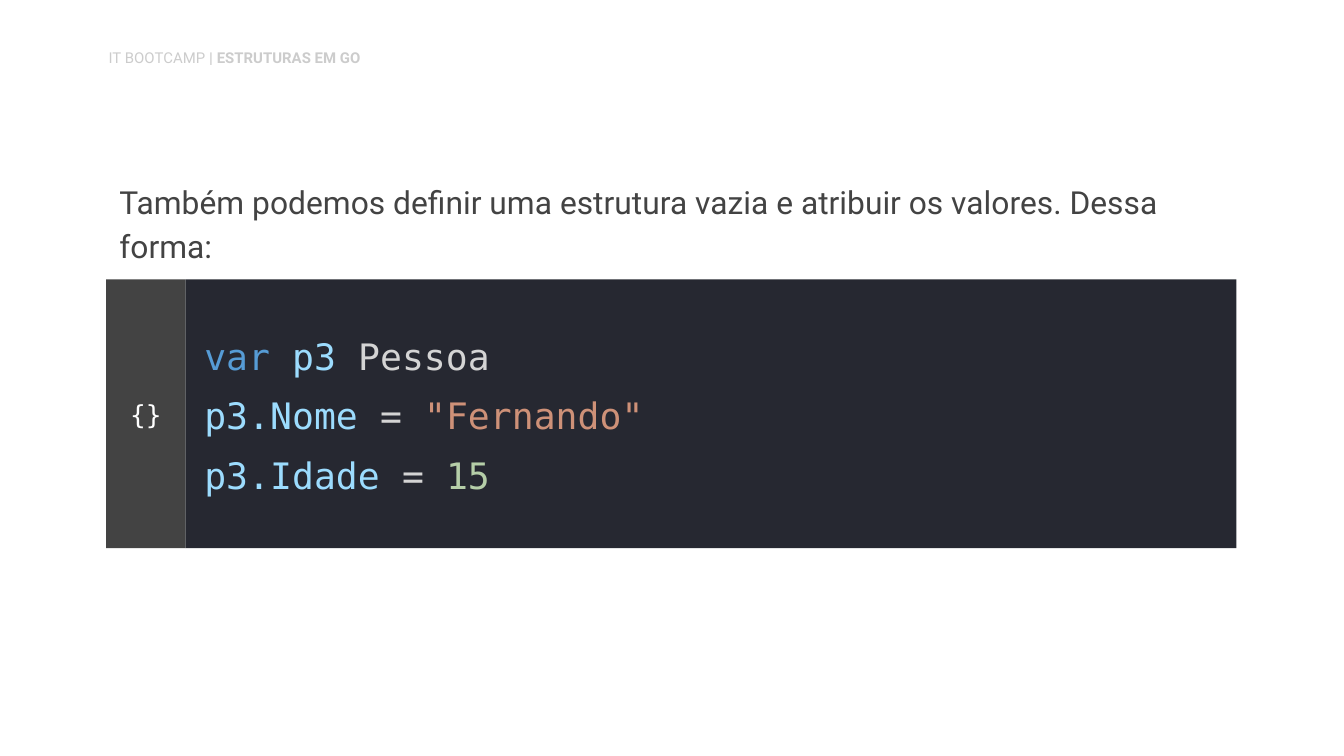
from pptx import Presentation
from pptx.dml.color import RGBColor
from pptx.enum import shapes, text
from pptx.util import Inches, Pt

SANS, MONO = "Roboto", "DejaVu Sans Mono"
NAME, PLAIN = "9CDCFE", "D4D4D4"

# Each paragraph is a list of runs: (text, colour, bold)
HEADER = [[("IT BOOTCAMP", "CCCCCC", False), (" | ESTRUTURAS EM GO", "CCCCCC", True)]]
INTRO = [[("Também podemos definir uma estrutura vazia e atribuir os valores. "
           "Dessa forma:", "434343", False)]]
BRACES = [[("{}", "FFFFFF", False)]]
CODE = [
    [("var ", "569CD6", False), ("p3", NAME, False), (" Pessoa", PLAIN, False)],
    [("p3.Nome", NAME, False), (" = ", PLAIN, False), ('"Fernando"', "CE9178", False)],
    [("p3.Idade", NAME, False), (" = ", PLAIN, False), ("15", "B5CEA8", False)],
]

LEFT, PANEL_TOP, PANEL_HEIGHT = 0.79, 2.08, 2
GUTTER_WIDTH, CODE_WIDTH = 0.59, 7.82


def rgb(value):
    """Turn a hex string into a colour."""
    return RGBColor.from_string(value)


def write(sp, paragraphs, font, size, margins, spacing=None, after=None,
          align=text.PP_ALIGN.LEFT, anchor=text.MSO_ANCHOR.TOP):
    """Fill a shape with formatted paragraphs."""
    tf = sp.text_frame
    tf.word_wrap = True
    tf.vertical_anchor = anchor
    tf.margin_left, tf.margin_top, tf.margin_right, tf.margin_bottom = map(Inches, margins)
    for i, runs in enumerate(paragraphs):
        p = tf.add_paragraph() if i else tf.paragraphs[0]
        p.alignment = align
        if spacing:
            p.line_spacing = spacing
        if after:
            p.space_after = Pt(after)
        for words, colour, bold in runs:
            r = p.add_run()
            r.text = words
            r.font.name, r.font.size, r.font.bold = font, Pt(size), bold
            r.font.color.rgb = rgb(colour)


def add_text(s, box):
    """Add a text box."""
    return s.shapes.add_textbox(*map(Inches, box))


def add_panel(group, left, width, colour):
    """Add one filled part of the code panel."""
    sp = group.shapes.add_shape(shapes.MSO_SHAPE.RECTANGLE, Inches(left), Inches(PANEL_TOP),
                                Inches(width), Inches(PANEL_HEIGHT))
    sp.shadow.inherit = False
    sp.fill.solid()
    sp.fill.fore_color.rgb = rgb(colour)
    sp.line.fill.background()
    return sp


prs = Presentation()
prs.slide_width = Inches(10)
prs.slide_height = prs.slide_width * 9 // 16
s = prs.slides.add_slide(prs.slide_layouts[6])

write(add_text(s, (LEFT, 1.22, 8.43, 0.58)), INTRO, SANS, 17, [0.1] * 4, spacing=1.15)

panel = s.shapes.add_group_shape()
write(add_panel(panel, LEFT + GUTTER_WIDTH, CODE_WIDTH, "262831"), CODE, MONO, 19.5,
      (0.14, 0, 0.1, 0.1), spacing=1.36, anchor=text.MSO_ANCHOR.MIDDLE)
write(add_panel(panel, LEFT, GUTTER_WIDTH, "434343"), BRACES, MONO, 14, [0.1] * 4,
      align=text.PP_ALIGN.CENTER, anchor=text.MSO_ANCHOR.MIDDLE)

write(add_text(s, (0.71, 0.31, 3.14, 0.27)), HEADER, SANS, 8,
      (0.1, 0.05, 0.1, 0.05), after=12)

prs.save("out.pptx")
